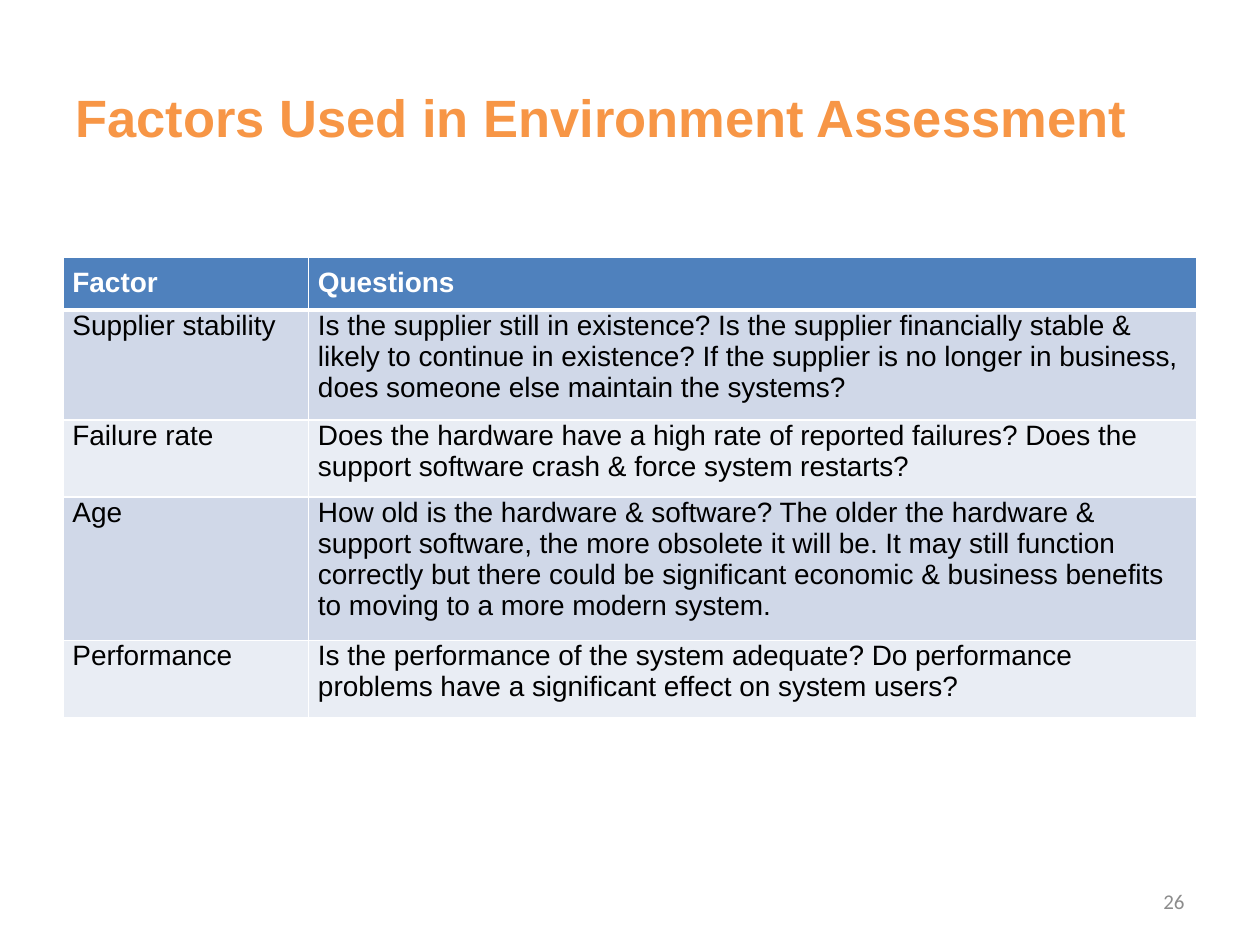
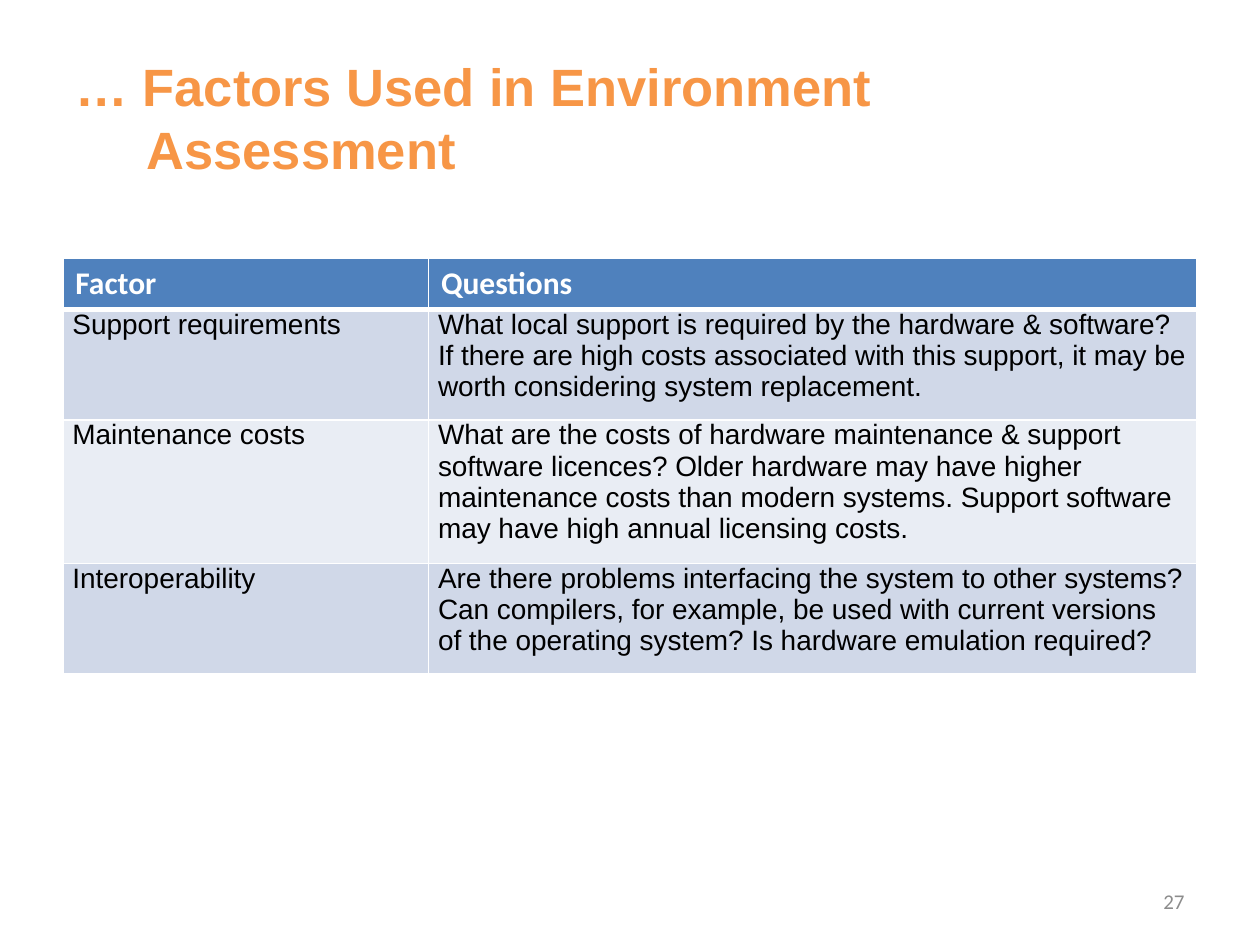
"""Build two slides of factors used in environment assessment."""
from lxml.etree import SubElement
from pptx import Presentation
from pptx.dml.color import RGBColor
from pptx.enum.text import MSO_ANCHOR, MSO_AUTO_SIZE, PP_ALIGN
from pptx.oxml.ns import qn
from pptx.util import Cm, Pt

ORANGE, BLUE, GREY = "F79646", "4F81BD", "8C8C8C"
WHITE, BLACK = "FFFFFF", "000000"
BANDS = "D0D8E8", "E9EDF4"


def color(code):
    return RGBColor.from_string(code)


def write(frame, text, size=16, font="Arial", ink=BLACK, bold=False,
          align=PP_ALIGN.LEFT, after=0, hang=0):
    frame.word_wrap = True
    para = frame.paragraphs[0]
    para.text = text
    para.alignment = align
    para.space_after = Pt(after)
    if hang:
        props = para._p.get_or_add_pPr()
        props.set("marL", str(Cm(hang)))
        props.set("indent", str(-Cm(hang)))
    for run in para.runs:
        run.font.size = Pt(size)
        run.font.name = font
        run.font.bold = bold
        run.font.color.rgb = color(ink)


class Deck:
    def __init__(self):
        self.show = Presentation()
        self.show.slide_width, self.show.slide_height = Cm(25.4), Cm(19.05)
        self.slide = None

    def page(self, title, width, number, hang=0):
        self.slide = self.show.slides.add_slide(self.show.slide_layouts[5])
        head = self.slide.shapes.title
        head.left, head.top = Cm(1.27), Cm(0.76)
        head.width, head.height = Cm(width), Cm(3.18)
        frame = head.text_frame
        frame.auto_size = MSO_AUTO_SIZE.NONE
        frame.vertical_anchor = MSO_ANCHOR.MIDDLE
        write(frame, title, size=30, ink=ORANGE, bold=True, hang=hang)
        self.number(number)

    def number(self, number):
        box = self.slide.shapes.add_textbox(Cm(18.2), Cm(17.66), Cm(5.93), Cm(1.01))
        box.text_frame.vertical_anchor = MSO_ANCHOR.MIDDLE
        write(box.text_frame, str(number), size=12, font="Calibri", ink=GREY,
              align=PP_ALIGN.RIGHT)

    def cell(self, cell, text, fill, edges, pads, **style):
        cell.fill.solid()
        cell.fill.fore_color.rgb = color(fill)
        cell.margin_left = cell.margin_right = Cm(pads[0])
        cell.margin_top, cell.margin_bottom = Cm(pads[1]), Cm(pads[2])
        write(cell.text_frame, text, **style)
        props = cell._tc.get_or_add_tcPr()
        for spot, (side, width) in enumerate(edges.items()):
            line = SubElement(props, qn(f"a:ln{side}"), w=str(Pt(width)))
            paint = SubElement(line, qn("a:solidFill"))
            SubElement(paint, qn("a:srgbClr"), val=WHITE)
            props.insert(spot, line)

    def table(self, top, widths, rows, pads, **style):
        heights = [1.03] + [0.2 + 0.62 * lines for lines, *_ in rows]
        grid = self.slide.shapes.add_table(
            len(heights), 2, Cm(1.27), Cm(top), Cm(sum(widths)), Cm(sum(heights))).table
        grid.horz_banding = False
        for column, width in zip(grid.columns, widths):
            column.width = Cm(width)
        for row, height in zip(grid.rows, heights):
            row.height = Cm(height)
        for col, text in enumerate(("Factor", "Questions")):
            self.cell(grid.cell(0, col), text, BLUE, dict(L=1, R=1, T=1, B=3),
                      pads, ink=WHITE, bold=True, **style)
        for row, (_, *texts) in enumerate(rows, 1):
            edges = dict(L=1, R=1, T=3 if row == 1 else 1, B=1)
            for col, text in enumerate(texts):
                self.cell(grid.cell(row, col), text, BANDS[(row - 1) % 2], edges,
                          (0.19, 0, 0.19), after=6)


def main():
    deck = Deck()
    deck.page("Factors Used in Environment Assessment", 22.28, 26)
    deck.table(5.19, (4.95, 17.91), [
        (3, "Supplier stability",
         "Is the supplier still in existence? Is the supplier financially stable & "
         "likely to continue in existence? If the supplier is no longer in business, "
         "does someone else maintain the systems?"),
        (2, "Failure rate",
         "Does the hardware have a high rate of reported failures? Does the "
         "support software crash & force system restarts?"),
        (4, "Age",
         "How old is the hardware & software? The older the hardware & "
         "support software, the more obsolete it will be. It may still function "
         "correctly but there could be significant economic & business benefits "
         "to moving to a more modern system."),
        (2, "Performance",
         "Is the performance of the system adequate? Do performance "
         "problems have a significant effect on system users?"),
    ], (0.19, 0.19, 0.19), after=6)

    deck.page("… Factors Used in Environment\vAssessment", 20.27, 27, hang=1.43)
    deck.table(5.21, (7.37, 15.49), [
        (3, "Support requirements",
         "What local support is required by the hardware & software? "
         "If there are high costs associated with this support, it may be "
         "worth considering system replacement."),
        (4, "Maintenance costs",
         "What are the costs of hardware maintenance & support "
         "software licences? Older hardware may have higher "
         "maintenance costs than modern systems. Support software "
         "may have high annual licensing costs."),
        (3, "Interoperability",
         "Are there problems interfacing the system to other systems? "
         "Can compilers, for example, be used with current versions "
         "of the operating system? Is hardware emulation required?"),
    ], (0.25, 0.13, 0.13), size=18, font="Calibri")
    deck.show.save("out.pptx")


if __name__ == "__main__":
    main()
